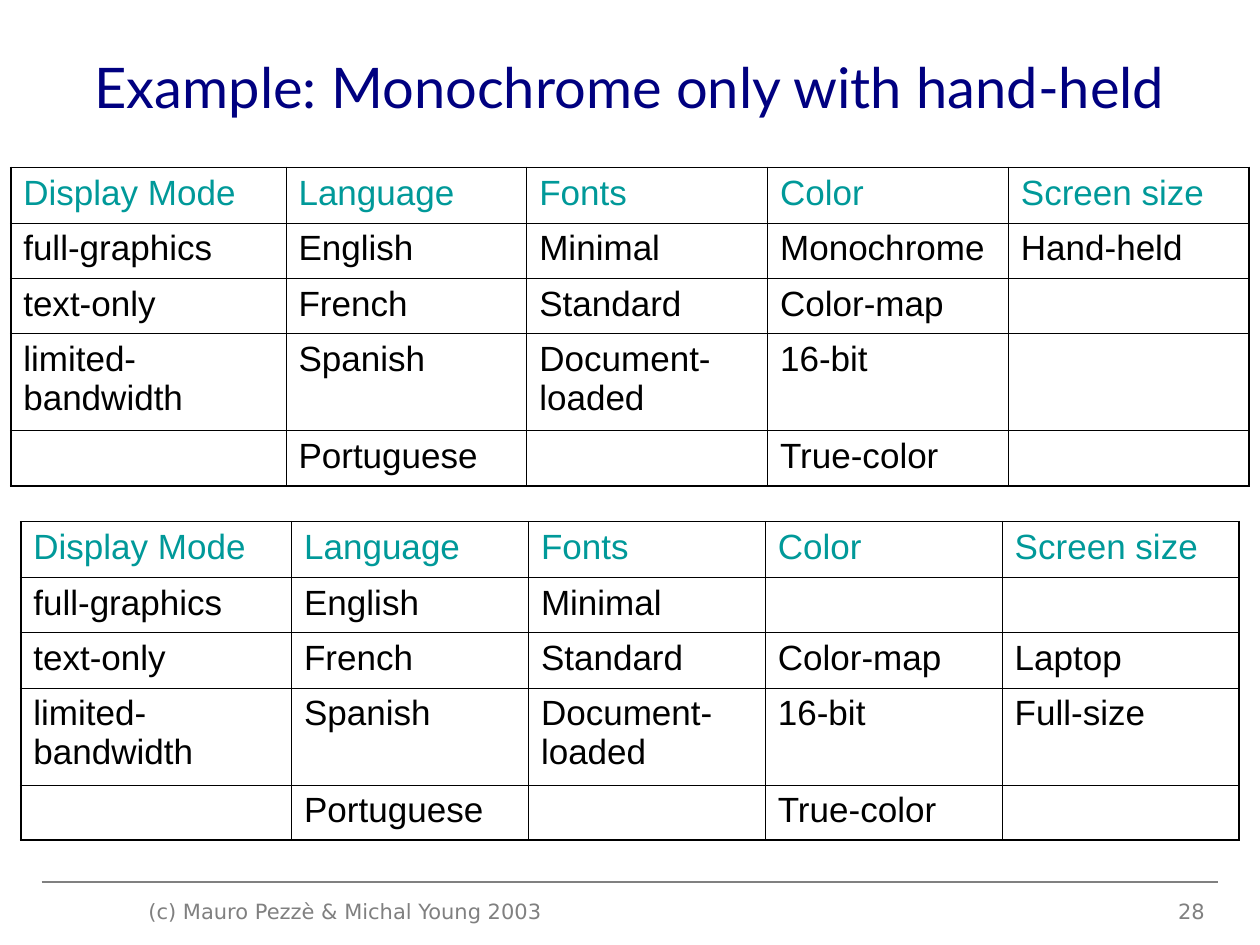
"""Build a slide that splits a table of category values by screen size."""
from dataclasses import dataclass

from lxml import etree
from pptx import Presentation, util as u
from pptx.dml.color import RGBColor
from pptx.enum import shapes, text
from pptx.oxml.ns import qn

TITLE = "Example: Monochrome only with hand-held"
FOOTER = "(c) Mauro Pezzè & Michal Young 2003"
PAGE_NUMBER = "28"

HEADER = ("Display Mode", "Language", "Fonts", "Color", "Screen size")
SHARED = [
    ("full-graphics", "English", "Minimal"),
    ("text-only", "French", "Standard"),
    ("limited-bandwidth", "Spanish", "Document-loaded"),
    ("", "Portuguese", ""),
]
HAND_HELD = [("Monochrome", "Hand-held"), ("Color-map", ""), ("16-bit", ""), ("True-color", "")]
LARGER = [("", ""), ("Color-map", "Laptop"), ("16-bit", "Full-size"), ("True-color", "")]

WIDTH, HEIGHT = 10, 7.5
COLUMN_SHARES = (8, 7, 7, 7, 7)
ROW_HEIGHTS = (0.44, 0.44, 0.44, 0.77, 0.44)
TABLES = [(LARGER, 4.14, 9.67), (HAND_HELD, 1.33, 9.83)]


@dataclass(frozen=True)
class Theme:
    title: tuple = ("Lato", 32, "000080")
    header: tuple = ("Arial", 20, "009999")
    body: tuple = ("Arial", 20, "000000")
    footer: tuple = ("DejaVu Sans", 12, "808080")
    rule: str = "808080"
    border: str = "000000"
    inner: float = 0.45
    outer: float = 1.08


THEME = Theme()


def write(frame, words, style, align=text.PP_ALIGN.LEFT):
    para = frame.paragraphs[0]
    para.alignment = align
    span = para.add_run()
    span.text = words
    span.font.name, size, color = style
    span.font.size = u.Pt(size)
    span.font.color.rgb = RGBColor.from_string(color)


def add_text(page, area, words, style, align=text.PP_ALIGN.LEFT, anchor=text.MSO_ANCHOR.TOP):
    box = page.shapes.add_textbox(*map(u.Inches, area))
    box.text_frame.word_wrap = True
    box.text_frame.vertical_anchor = anchor
    write(box.text_frame, words, style, align)


def add_border(cell, side, points):
    properties = cell._tc.get_or_add_tcPr()
    line = etree.SubElement(properties, qn(f"a:ln{side}"), w=str(int(u.Pt(points))))
    fill = etree.SubElement(line, qn("a:solidFill"))
    etree.SubElement(fill, qn("a:srgbClr"), val=THEME.border)


def add_table(page, endings, top, width):
    rows = [HEADER] + [start + end for start, end in zip(SHARED, endings)]
    last_row, last_column = len(rows) - 1, len(HEADER) - 1
    area = ((WIDTH - width) / 2, top, width, sum(ROW_HEIGHTS))
    table = page.shapes.add_table(len(rows), len(HEADER), *map(u.Inches, area)).table
    table.first_row = table.horz_banding = False
    for column, share in zip(table.columns, COLUMN_SHARES):
        column.width = u.Inches(width * share / sum(COLUMN_SHARES))
    for row, height in zip(table.rows, ROW_HEIGHTS):
        row.height = u.Inches(height)
    for r, row in enumerate(rows):
        for c, words in enumerate(row):
            cell = table.cell(r, c)
            edges = {"L": c == 0, "R": c == last_column, "T": r == 0, "B": r == last_row}
            for side, is_outer in edges.items():
                add_border(cell, side, THEME.outer if is_outer else THEME.inner)
            cell.fill.background()
            if words:
                write(cell.text_frame, words, THEME.body if r else THEME.header)


def add_rule(page, margin, top):
    ends = (margin, top, WIDTH - margin, top)
    rule = page.shapes.add_connector(shapes.MSO_CONNECTOR.STRAIGHT, *map(u.Inches, ends))
    rule.line.color.rgb = RGBColor.from_string(THEME.rule)
    rule.line.width = u.Pt(0.75)
    etree.SubElement(rule._element.spPr, qn("a:effectLst"))


def main():
    deck = Presentation()
    deck.slide_width, deck.slide_height = u.Inches(WIDTH), u.Inches(HEIGHT)
    page = deck.slides.add_slide(deck.slide_layouts[6])
    add_rule(page, 0.33, 7)
    add_text(page, (0.5, 0.08, 9, 1.2), TITLE, THEME.title,
             text.PP_ALIGN.CENTER, text.MSO_ANCHOR.MIDDLE)
    for endings, top, width in TABLES:
        add_table(page, endings, top, width)
    add_text(page, (1.08, 7.08, 3.5, 0.27), FOOTER, THEME.footer)
    add_text(page, (7.33, 7.08, 2.33, 0.27), PAGE_NUMBER, THEME.footer, text.PP_ALIGN.RIGHT)
    deck.save("out.pptx")


if __name__ == "__main__":
    main()
